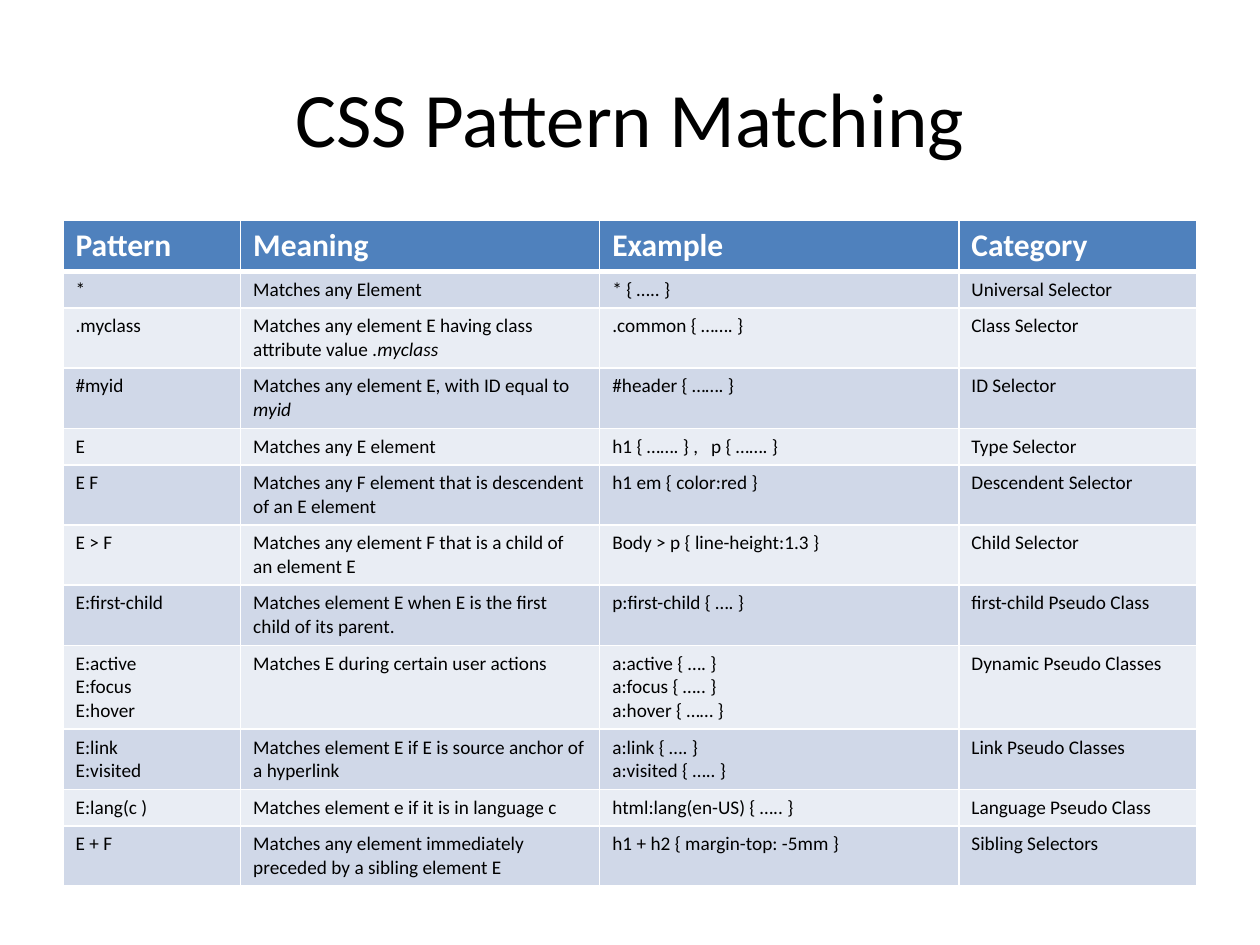
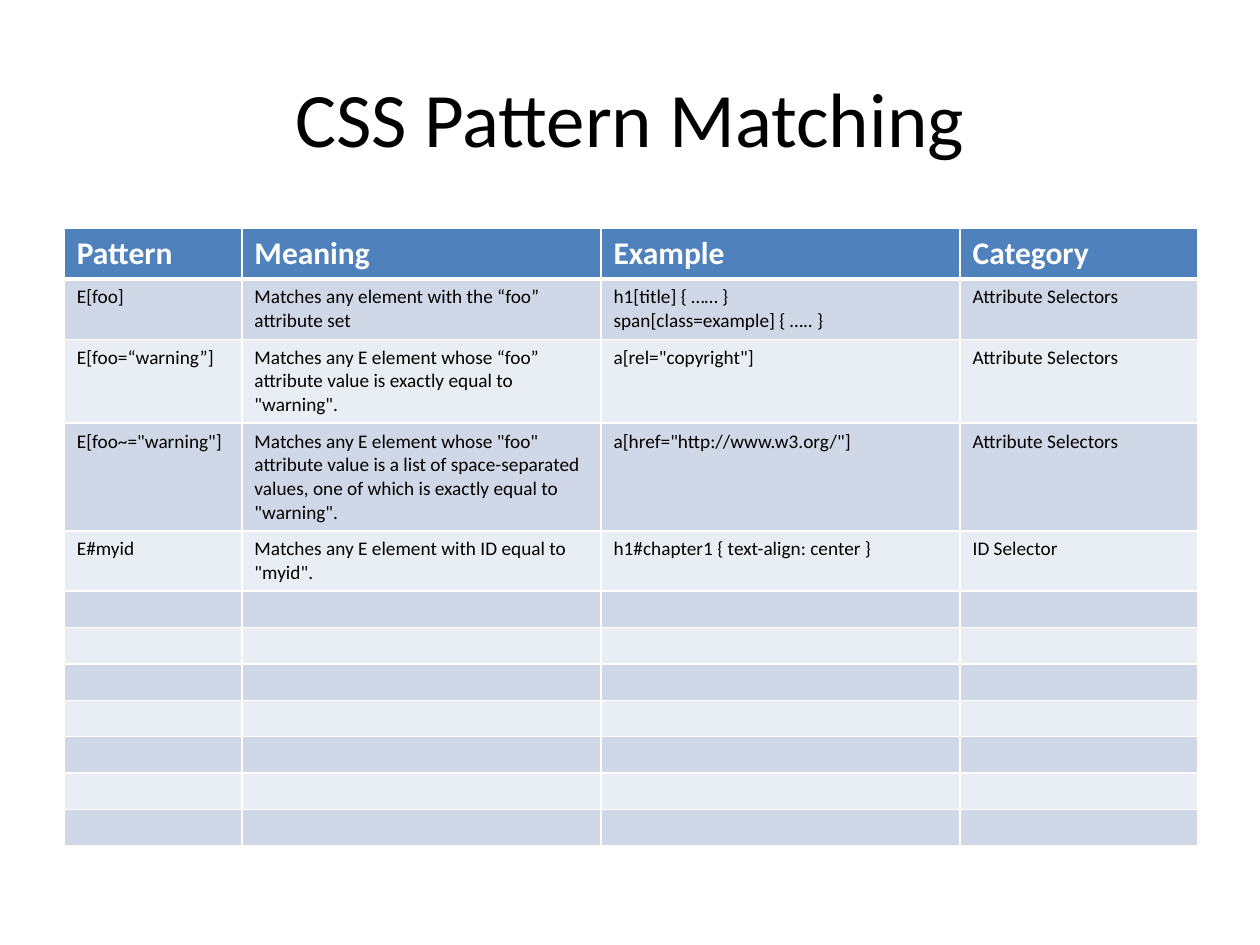
from lxml import etree
from pptx import Presentation
from pptx.dml.color import RGBColor
from pptx.enum.text import MSO_ANCHOR, PP_ALIGN
from pptx.oxml.ns import qn
from pptx.util import Inches, Pt

CENTER = PP_ALIGN.CENTER
LEFT = PP_ALIGN.LEFT
MIDDLE = MSO_ANCHOR.MIDDLE

# Shared style
COLORS = {
    "text": "000000",
    "line": "FFFFFF",
    "header": "4F81BD",
    "header_text": "FFFFFF",
    "odd_row": "D0D8E8",
    "even_row": "E9EDF4",
}
FONT = "Calibri"
TITLE_ONLY = 5
TITLE = "CSS Pattern Matching"
TITLE_BOX = (0.5, 0.3, 9, 1.25)
COLUMN_WIDTHS = (1.41, 2.85, 2.85, 1.89)
ROW_HEIGHT = 0.24
ROW_COUNT = 12
BODY_SIZE = 11
THIN, THICK = 1, 3

# Content: a line break starts a paragraph, underscores enclose italics
HEADINGS = ("Pattern", "Meaning", "Example", "Category")
BASIC_SELECTORS = [
    ("*", "Matches any Element", "* { ….. }", "Universal Selector"),
    (".myclass", "Matches any element E having class attribute value _.myclass_",
     ".common { ……. }", "Class Selector"),
    ("#myid", "Matches any element E, with ID equal to _myid_",
     "#header { ……. }", "ID Selector"),
    ("E", "Matches any E element", "h1 { ……. } ,   p { ……. }", "Type Selector"),
    ("E F", "Matches any F element that is descendent of an E element",
     "h1 em { color:red }", "Descendent Selector"),
    ("E > F", "Matches any element F that is a child of an element E",
     "Body > p { line-height:1.3 }", "Child Selector"),
    ("E:first-child", "Matches element E when E is the first child of its parent.",
     "p:first-child { …. }", "first-child Pseudo Class"),
    ("E:active\nE:focus\nE:hover", "Matches E during certain user actions",
     "a:active { …. }\na:focus { ….. }\na:hover { …… }", "Dynamic Pseudo Classes"),
    ("E:link\nE:visited", "Matches element E if E is source anchor of a hyperlink",
     "a:link { …. }\na:visited { ….. }", "Link Pseudo Classes"),
    ("E:lang(c )", "Matches element e if it is in language c",
     "html:lang(en-US) { ….. }", "Language Pseudo Class"),
    ("E + F", "Matches any element immediately preceded by a sibling element E",
     "h1 + h2 { margin-top: -5mm }", "Sibling Selectors"),
]
ATTRIBUTE_SELECTORS = [
    ("E[foo]", "Matches any element with the “foo” attribute set",
     "h1[title] { …… }\nspan[class=example] { ….. }", "Attribute Selectors"),
    ("E[foo=“warning”]",
     "Matches any E element whose “foo” attribute value is exactly equal to \"warning\".",
     "a[rel=\"copyright\"]", "Attribute Selectors"),
    ("E[foo~=\"warning\"]",
     "Matches any E element whose \"foo\" attribute value is a list of "
     "space-separated values, one of which is exactly equal to \"warning\".",
     "a[href=\"http://www.w3.org/\"]", "Attribute Selectors"),
    ("E#myid", "Matches any E element with ID equal to \"myid\".",
     "h1#chapter1 { text-align: center }", "ID Selector"),
]


def write_text(text_frame, text, size=BODY_SIZE, color="text", bold=False, align=LEFT):
    """Fill a text frame; an empty text still sets the line height."""
    for index, line in enumerate(text.split("\n")):
        paragraph = text_frame.add_paragraph() if index else text_frame.paragraphs[0]
        paragraph.alignment = align
        if not line:
            etree.SubElement(paragraph._p, qn("a:endParaRPr"), sz=str(size * 100))
            continue
        for part_index, part in enumerate(line.split("_")):
            if not part:
                continue
            run = paragraph.add_run()
            run.text = part
            run.font.name = FONT
            run.font.size = Pt(size)
            run.font.bold = bold
            run.font.italic = part_index % 2 == 1
            run.font.color.rgb = RGBColor.from_string(COLORS[color])


def set_borders(cell, top=THIN, bottom=THIN):
    properties = cell._tc.get_or_add_tcPr()
    widths = {"L": THIN, "R": THIN, "T": top, "B": bottom}
    for index, (side, width) in enumerate(widths.items()):
        line = etree.Element(qn(f"a:ln{side}"), w=str(Pt(width)))
        fill = etree.SubElement(line, qn("a:solidFill"))
        etree.SubElement(fill, qn("a:srgbClr"), val=COLORS["line"])
        properties.insert(index, line)


def format_cell(cell, text, row_index):
    is_header = row_index == 0
    if is_header:
        fill_color = "header"
        write_text(cell.text_frame, text, size=18, color="header_text", bold=True)
    else:
        fill_color = "odd_row" if row_index % 2 else "even_row"
        write_text(cell.text_frame, text)
    cell.fill.solid()
    cell.fill.fore_color.rgb = RGBColor.from_string(COLORS[fill_color])
    set_borders(cell, top=THICK if row_index == 1 else THIN,
                bottom=THICK if is_header else THIN)


def add_selector_table(slide, selectors, left, top, height):
    shape = slide.shapes.add_table(
        ROW_COUNT, len(HEADINGS), Inches(left), Inches(top),
        Inches(sum(COLUMN_WIDTHS)), Inches(ROW_HEIGHT * ROW_COUNT))
    table = shape.table
    for column, width in zip(table.columns, COLUMN_WIDTHS):
        column.width = Inches(width)
    # Unused rows at the end stay empty
    empty_rows = [("",) * len(HEADINGS)] * (ROW_COUNT - 1 - len(selectors))
    for row_index, texts in enumerate([HEADINGS, *selectors, *empty_rows]):
        table.rows[row_index].height = Inches(ROW_HEIGHT)
        for column_index, text in enumerate(texts):
            format_cell(table.cell(row_index, column_index), text, row_index)
    shape.height = Inches(height)


def add_title(slide):
    title = slide.shapes.title
    title.left, title.top, title.width, title.height = map(Inches, TITLE_BOX)
    title.text_frame.vertical_anchor = MIDDLE
    write_text(title.text_frame, TITLE, size=44, align=CENTER)


def add_selector_slide(presentation, selectors, **table_box):
    slide = presentation.slides.add_slide(presentation.slide_layouts[TITLE_ONLY])
    add_title(slide)
    add_selector_table(slide, selectors, **table_box)


def main():
    presentation = Presentation()
    presentation.slide_width = Inches(10)
    presentation.slide_height = Inches(7.5)
    add_selector_slide(presentation, BASIC_SELECTORS, left=0.5, top=1.75, height=5.17)
    add_selector_slide(presentation, ATTRIBUTE_SELECTORS, left=0.51, top=1.81, height=4.8)
    presentation.save("out.pptx")


main()
